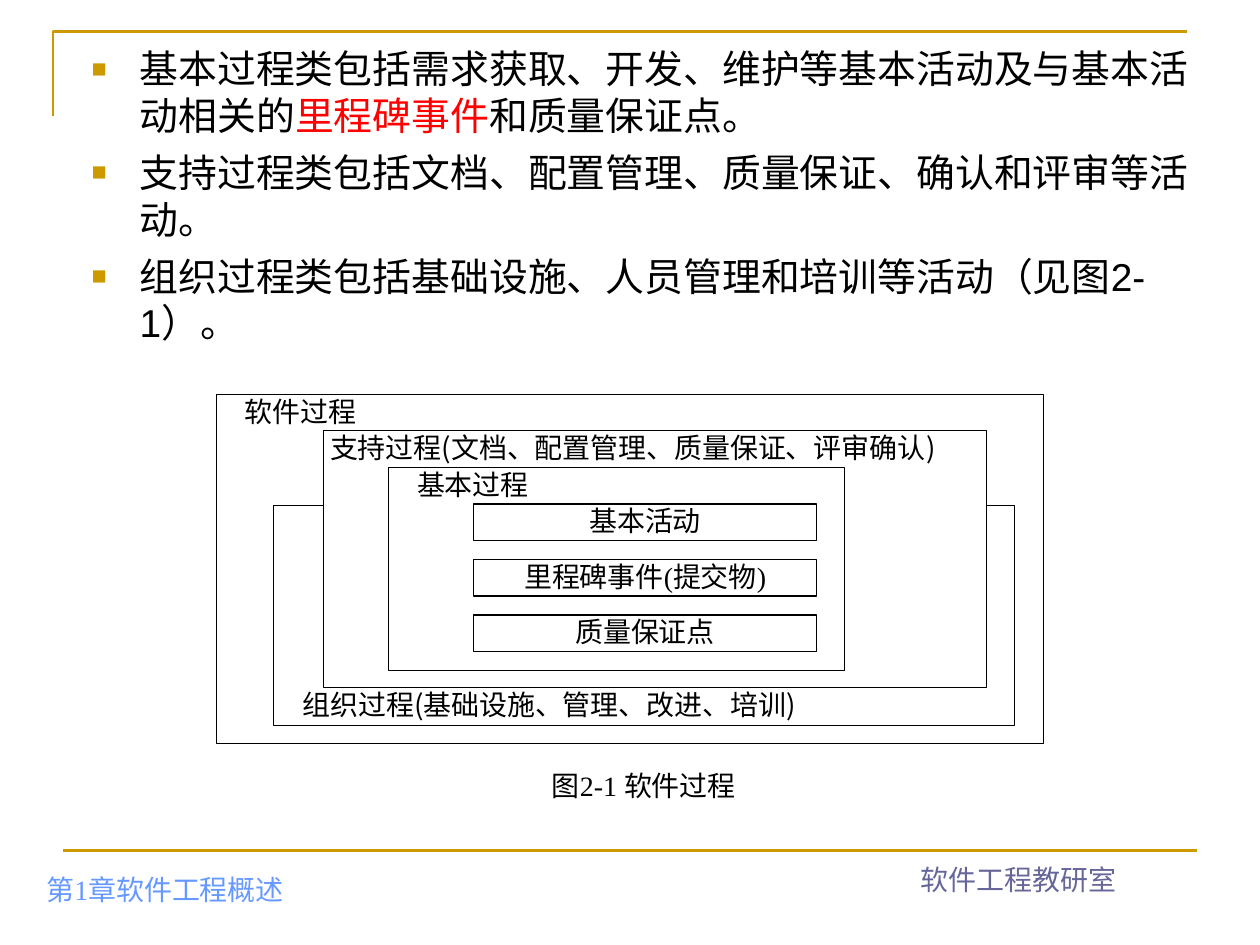
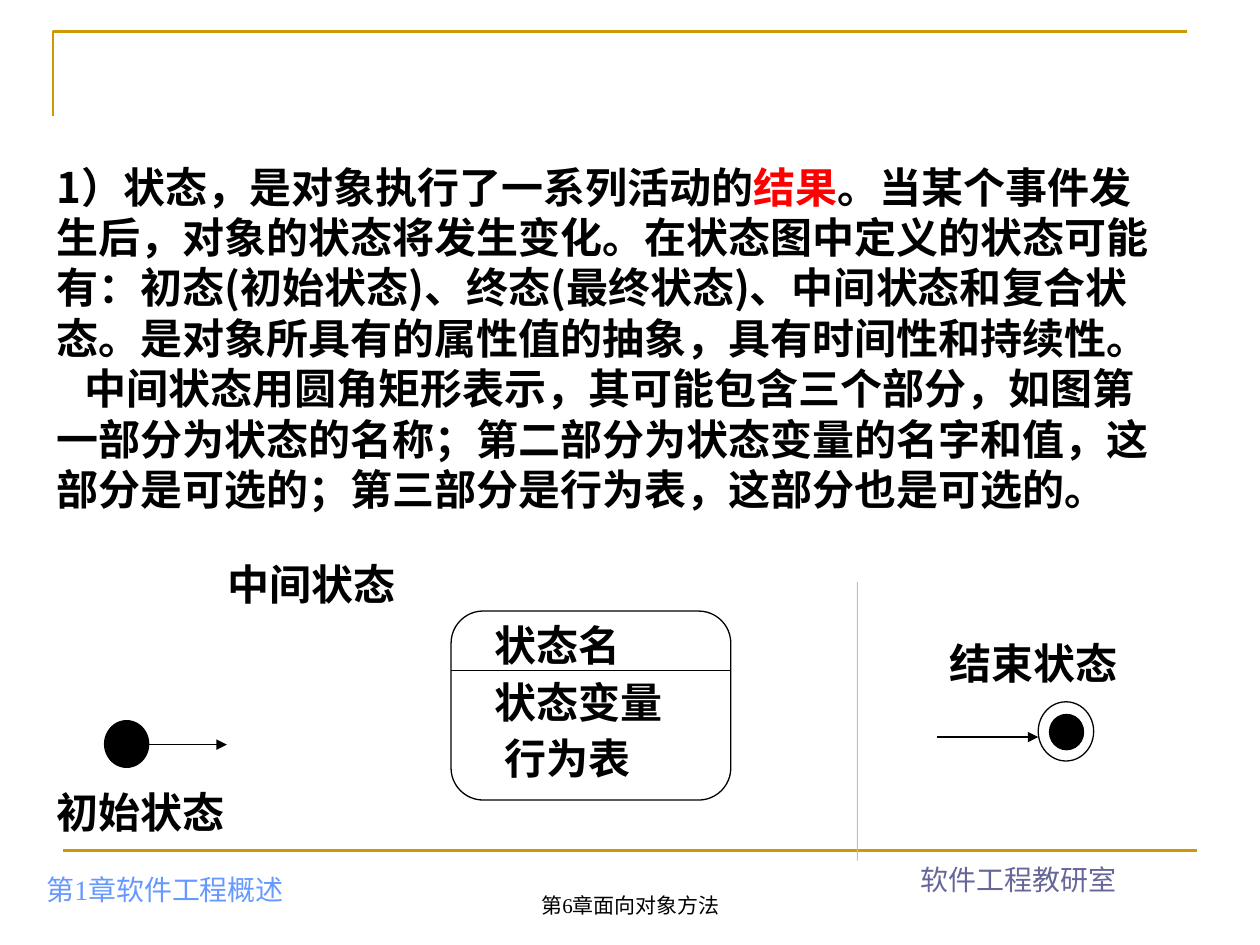
from typing import NamedTuple, Optional

from lxml.etree import SubElement
from pptx import Presentation
from pptx.dml.color import RGBColor
from pptx.enum.shapes import MSO_CONNECTOR, MSO_SHAPE as Preset
from pptx.enum.text import MSO_ANCHOR as Anchor, PP_ALIGN as Align
from pptx.oxml.ns import qn
from pptx.util import Pt

# Scale: 100 px to the inch
PX = 9144

# Colours and fonts
BLACK = RGBColor(0, 0, 0)
WHITE = RGBColor(0xFF, 0xFF, 0xFF)
RED = RGBColor(0xFF, 0, 0)
GOLD = RGBColor(0xCC, 0x99, 0)
SKY = RGBColor(0x66, 0x99, 0xFF)
SLATE = RGBColor(0x66, 0x66, 0x99)
SILVER = RGBColor(0xC0, 0xC0, 0xC0)
ARIAL, TIMES, NOTO = "Arial", "Times New Roman", "Noto Sans CJK SC"
LINE_HEIGHT = 1.2


class Box(NamedTuple):
    left: int
    top: int
    width: int
    height: int


class Style(NamedTuple):
    size: float
    font: str
    color: RGBColor = BLACK
    bold: bool = False
    align: Align = Align.LEFT
    anchor: Anchor = Anchor.TOP
    inset: tuple[int, int] = (10, 5)
    line_height: float = LINE_HEIGHT
    space_before: float = 0


class Run(NamedTuple):
    text: str
    color: Optional[RGBColor] = None


class Para(NamedTuple):
    runs: list[Run]
    margin: int = 0
    indent: int = 0
    bullet: bool = False


class Label(NamedTuple):
    box: Box
    text: str
    style: Style


class Figure(NamedTuple):
    preset: Preset
    box: Box
    fill: Optional[RGBColor] = None
    line: Optional[RGBColor] = BLACK
    weight: float = 0.75


BODY = Style(22.2, ARIAL, space_before=6)
HEADING = Style(24, NOTO, bold=True)
STATE = HEADING._replace(line_height=0.6 * LINE_HEIGHT, space_before=15)
PROCESS = Style(16, NOTO, inset=(0, 0))
ACTIVITY = Style(16, TIMES, align=Align.CENTER, inset=(0, 0))
CAPTION = Style(16, TIMES, align=Align.CENTER)
FOOTER = CAPTION._replace(anchor=Anchor.BOTTOM)

FOOTERS = [
    Label(Box(27, 674, 315, 50), "第1章软件工程概述",
          FOOTER._replace(color=SKY, align=Align.LEFT)),
    Label(Box(650, 666, 317, 50), "软件工程教研室", FOOTER._replace(color=SLATE)),
]


def emu(box: Box) -> list[int]:
    return [length * PX for length in box]


def add_bullet(properties) -> None:
    color = SubElement(properties, qn("a:buClr"))
    SubElement(color, qn("a:srgbClr"), val=str(GOLD))
    SubElement(properties, qn("a:buSzPct"), val="65000")
    SubElement(properties, qn("a:buFont"), typeface=ARIAL)
    SubElement(properties, qn("a:buChar"), char="■")


def write(shape, paragraphs: list[Para], style: Style) -> None:
    frame = shape.text_frame
    frame.word_wrap = True
    frame.vertical_anchor = style.anchor
    frame.margin_left = frame.margin_right = style.inset[0] * PX
    frame.margin_top = frame.margin_bottom = style.inset[1] * PX
    for index, item in enumerate(paragraphs):
        paragraph = frame.add_paragraph() if index else frame.paragraphs[0]
        properties = paragraph._p.get_or_add_pPr()
        properties.set("marL", str(item.margin * PX))
        properties.set("indent", str(item.indent * PX))
        properties.set("hangingPunct", "0")
        if item.bullet:
            add_bullet(properties)
        paragraph.alignment = style.align
        paragraph.line_spacing = Pt(style.size * style.line_height)
        paragraph.space_before = Pt(style.space_before if index else 0)
        for part in item.runs:
            run = paragraph.add_run()
            run.text = part.text
            run.font.size = Pt(style.size)
            run.font.bold = style.bold
            run.font.color.rgb = part.color or style.color
            run.font.name = style.font
            SubElement(run._r.get_or_add_rPr(), qn("a:ea"), typeface=NOTO)


def add_text(slide, box: Box, paragraphs: list[Para], style: Style) -> None:
    write(slide.shapes.add_textbox(*emu(box)), paragraphs, style)


def add_label(slide, label: Label) -> None:
    add_text(slide, label.box, [Para([Run(label.text)])], label.style)


def add_figure(slide, figure: Figure):
    shape = slide.shapes.add_shape(figure.preset, *emu(figure.box))
    shape.shadow.inherit = False
    if figure.fill is None:
        shape.fill.background()
    else:
        shape.fill.solid()
        shape.fill.fore_color.rgb = figure.fill
    if figure.line is None:
        shape.line.fill.background()
    else:
        shape.line.color.rgb = figure.line
        shape.line.width = Pt(figure.weight)
    return shape


def add_line(slide, start: tuple[int, int], end: tuple[int, int],
             color: RGBColor = BLACK, weight: float = 0.75, arrow: bool = False) -> None:
    ends = [length * PX for length in start + end]
    line = slide.shapes.add_connector(MSO_CONNECTOR.STRAIGHT, *ends)
    line.line.color.rgb = color
    line.line.width = Pt(weight)
    if arrow:
        SubElement(line.line._get_or_add_ln(), qn("a:tailEnd"), type="triangle")
    SubElement(line._element.spPr, qn("a:effectLst"))


def add_base_slide(presentation):
    """Blank slide with the gold corner, the footer rule and the footers."""
    slide = presentation.slides.add_slide(presentation.slide_layouts[6])
    builder = slide.shapes.build_freeform(42, 92, scale=PX)
    builder.add_line_segments([(42, 25), (942, 25)], close=False)
    corner = builder.convert_to_shape()
    corner.shadow.inherit = False
    corner.fill.background()
    corner.line.color.rgb = GOLD
    corner.line.width = Pt(1.5)
    add_line(slide, (50, 675), (950, 675), GOLD, 1.5)
    for footer in FOOTERS:
        add_label(slide, footer)
    return slide


def build_process_slide(presentation) -> None:
    slide = add_base_slide(presentation)

    # Process classes
    classes = [
        [Run("基本过程类包括需求获取、开发、维护等基本活动及与基本活动相关的"),
         Run("里程碑事件", RED), Run("和质量保证点。")],
        [Run("支持过程类包括文档、配置管理、质量保证、确认和评审等活动。")],
        [Run("组织过程类包括基础设施、人员管理和培训等活动（见图2-1）。")],
    ]
    add_text(slide, Box(63, 31, 906, 250),
             [Para(runs, 38, -38, True) for runs in classes], BODY)

    # Nested processes, outermost first
    processes = [
        (Box(172, 313, 656, 277), Box(194, 313, 186, 26), "软件过程"),
        (Box(217, 401, 588, 175), Box(240, 546, 543, 27),
         "组织过程(基础设施、管理、改进、培训)"),
        (Box(257, 342, 526, 204), Box(262, 342, 520, 29),
         "支持过程(文档、配置管理、质量保证、评审确认)"),
        (Box(308, 371, 362, 161), Box(331, 371, 89, 27), "基本过程"),
    ]
    for frame, label_box, name in processes:
        add_figure(slide, Figure(Preset.RECTANGLE, frame, WHITE, weight=0.5))
        add_label(slide, Label(label_box, name, PROCESS))

    # Parts of the basic process
    for row, name in enumerate(["基本活动", "里程碑事件(提交物)", "质量保证点"]):
        box = Box(376, 400 + 44 * row, 272, 29)
        activity = add_figure(slide, Figure(Preset.RECTANGLE, box))
        write(activity, [Para([Run(name)])], ACTIVITY)
    caption = add_figure(slide, Figure(Preset.RECTANGLE, Box(330, 605, 362, 44), WHITE, None))
    write(caption, [Para([Run("图2-1 软件过程")])], CAPTION)


def build_state_slide(presentation) -> None:
    slide = add_base_slide(presentation)
    add_label(slide, Label(Box(342, 683, 317, 50), "第6章面向对象方法",
                           FOOTER._replace(size=12)))

    # Explanation
    add_text(slide, Box(35, 123, 906, 330), [
        Para([Run("1）状态，是对象执行了一系列活动的"), Run("结果", RED),
              Run("。当某个事件发生后，对象的状态将发生变化。在状态图中定义的状态可能有："
                  "初态(初始状态)、终态(最终状态)、中间状态和复合状态。"
                  "是对象所具有的属性值的抽象，具有时间性和持续性。")]),
        Para([Run("中间状态用圆角矩形表示，其可能包含三个部分，如图第一部分为状态的名称；"
                  "第二部分为状态变量的名字和值，这部分是可选的；"
                  "第三部分是行为表，这部分也是可选的。")], indent=22),
    ], HEADING)

    # Start and end states
    add_line(slide, (118, 591), (180, 591), arrow=True)
    add_line(slide, (744, 585), (824, 585), arrow=True)
    for box, fill in [(Box(83, 572, 35, 37), BLACK),
                      (Box(824, 557, 44, 47), WHITE),
                      (Box(833, 567, 27, 28), BLACK)]:
        add_figure(slide, Figure(Preset.OVAL, box, fill))
    for label in [
        Label(Box(744, 501, 177, 50), "结束状态", HEADING),
        Label(Box(35, 619, 189, 50), "初始状态", HEADING),
        Label(Box(153, 438, 189, 50), "中间状态", HEADING._replace(align=Align.CENTER)),
    ]:
        add_label(slide, label)
    add_figure(slide, Figure(Preset.RECTANGLE, Box(680, 462, 1, 221), SILVER, None))

    # Intermediate state
    state = add_figure(slide, Figure(Preset.ROUNDED_RECTANGLE, Box(358, 485, 222, 150)))
    state.adjustments[0] = 0.17
    parts = [("状态名", 8), ("状态变量", 8), ("行为表", 16)]
    add_text(slide, Box(375, 503, 173, 124),
             [Para([Run(name)], margin) for name, margin in parts], STATE)
    add_line(slide, (358, 532), (579, 532))


def main() -> None:
    presentation = Presentation()
    presentation.slide_width = 1000 * PX
    presentation.slide_height = 750 * PX
    build_process_slide(presentation)
    build_state_slide(presentation)
    presentation.save("out.pptx")


if __name__ == "__main__":
    main()
